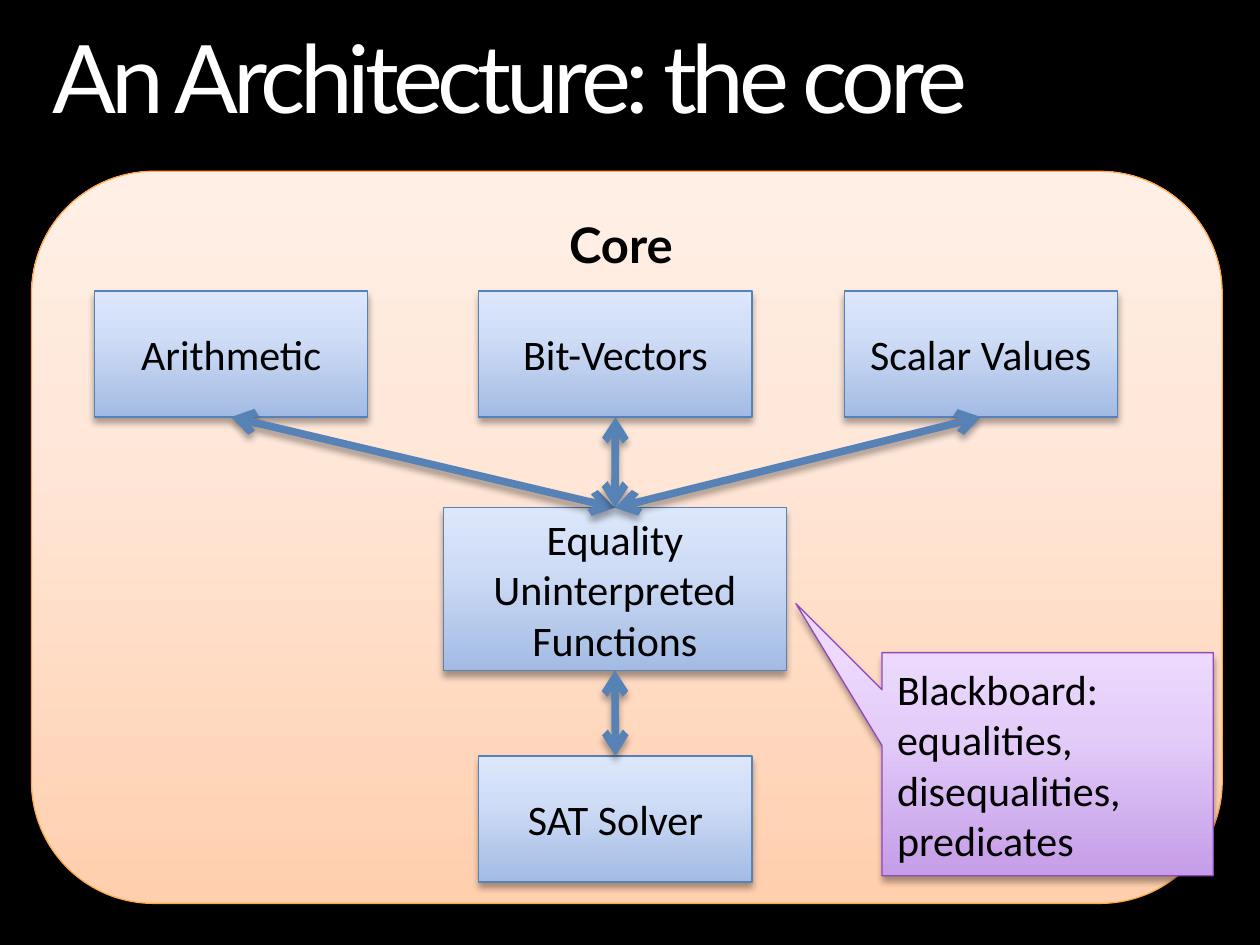
import pptx
import pptx.dml.color
import pptx.enum.shapes
import pptx.enum.text
import pptx.oxml
import pptx.oxml.ns
import pptx.util
from pptx.util import Inches

SHAPE = pptx.enum.shapes.MSO_SHAPE
ALIGN = pptx.enum.text.PP_ALIGN
ANCHOR = pptx.enum.text.MSO_ANCHOR
NS = pptx.oxml.ns.nsdecls("a")
TOP, BOTTOM = 0, 2
BLUE = ("A3BBE4", "D0DDF6", "DCE7FB")
ORANGE = ("FFCFAE", "FFE8DA", "FFEFE5")
PURPLE = ("C59DE8", "E4CDF9", "ECD9FD")
BLUE_LINE = "5782B5"


def rgb(value):
    """Return the colour for a hex string."""
    return pptx.dml.color.RGBColor.from_string(value)


def add_text(sp, text, font="Calibri", size=24, color="000000", bold=False,
             align=ALIGN.CENTER, anchor=ANCHOR.MIDDLE, inset=(0.12, 0.06),
             line_spacing=None, tracking=None):
    """Fill a shape with text, one paragraph per line."""
    tf = sp.text_frame
    tf.word_wrap = True
    tf.vertical_anchor = anchor
    tf.margin_left = tf.margin_right = Inches(inset[0])
    tf.margin_top = tf.margin_bottom = Inches(inset[1])
    for i, line in enumerate(text.split("\n")):
        p = tf.add_paragraph() if i else tf.paragraphs[0]
        p.alignment = align
        p.line_spacing = line_spacing
        r = p.add_run()
        r.text = line
        r.font.name = font
        r.font.size = pptx.util.Pt(size)
        r.font.bold = bold
        r.font.color.rgb = rgb(color)
        if tracking:
            r.font._element.set("spc", str(tracking * 100))


def set_gradient(sp, colors):
    """Give a shape a three-stop gradient running from bottom to top."""
    sp.fill.gradient()
    sp.fill.gradient_angle = 90
    stops = sp._element.spPr.find(".//" + pptx.oxml.ns.qn("a:gsLst"))
    stops.clear()
    for pos, color in zip((0, 65, 100), colors):
        stops.append(pptx.oxml.parse_xml(
            f'<a:gs {NS} pos="{pos * 1000}"><a:srgbClr val="{color}"/></a:gs>'))


def add_shadow(sp):
    """Append a soft shadow that falls straight down."""
    sp._element.spPr.append(pptx.oxml.parse_xml(
        f'<a:effectLst {NS}><a:outerShdw blurRad="50800" dist="38100" '
        'dir="5400000" rotWithShape="0"><a:srgbClr val="000000">'
        '<a:alpha val="35000"/></a:srgbClr></a:outerShdw></a:effectLst>'))


def add_panel(s, kind, box, colors, line, text, **fmt):
    """Add a shaded preset shape with text."""
    sp = s.shapes.add_shape(kind, *map(Inches, box))
    set_gradient(sp, colors)
    sp.line.color.rgb = rgb(line)
    sp.line.width = pptx.util.Pt(0.75)
    add_shadow(sp)
    add_text(sp, text, **fmt)
    return sp


def add_module(s, left, top, text, width=2.17, height=1):
    """Add a blue solver module."""
    return add_panel(s, SHAPE.RECTANGLE, (left, top, width, height),
                     BLUE, BLUE_LINE, text)


def link(s, upper, lower):
    """Join the bottom of one module to the top of another."""
    c = s.shapes.add_connector(pptx.enum.shapes.MSO_CONNECTOR.STRAIGHT, 0, 0, 0, 0)
    c.begin_connect(upper, BOTTOM)
    c.end_connect(lower, TOP)
    c.line.color.rgb = rgb(BLUE_LINE)
    c.line.width = pptx.util.Pt(4.33)
    for end in ("headEnd", "tailEnd"):
        c.line._get_or_add_ln().append(
            pptx.oxml.parse_xml(f'<a:{end} {NS} type="arrow"/>'))
    add_shadow(c)


def main():
    """Build the slide and save it."""
    prs = pptx.Presentation()
    prs.slide_width, prs.slide_height = Inches(10), Inches(7.5)
    s = prs.slides.add_slide(prs.slide_layouts[6])
    s.background.fill.solid()
    s.background.fill.fore_color.rgb = rgb("000000")

    add_panel(s, SHAPE.ROUNDED_RECTANGLE, (0.25, 1.36, 9.45, 5.81), ORANGE,
              "FFA94B", "Core ", font="Lato", size=28, bold=True, anchor=ANCHOR.TOP)
    title = s.shapes.add_textbox(*map(Inches, (0.42, 0.25, 9.17, 0.73)))
    add_text(title, "An Architecture: the core", font="Lato", size=54,
             color="FFFFFF", align=ALIGN.LEFT, anchor=ANCHOR.TOP, inset=(0, 0),
             line_spacing=0.9, tracking=-3)

    sat = add_module(s, 3.8, 6, "SAT Solver")
    equality = add_module(s, 3.52, 4.03, "Equality\nUninterpreted Functions",
                          width=2.72, height=1.29)
    theories = [add_module(s, left, 2.31, name) for left, name in
                ((0.75, "Arithmetic"), (3.8, "Bit-Vectors"), (6.7, "Scalar Values"))]
    for theory in theories:
        link(s, theory, equality)
    link(s, equality, sat)

    callout = add_panel(s, SHAPE.RECTANGULAR_CALLOUT, (7, 5.18, 2.63, 1.77),
                        PURPLE, "9047B9",
                        "Blackboard:\nequalities, disequalities,\npredicates",
                        align=ALIGN.LEFT)
    callout.adjustments[0] = -0.76
    callout.adjustments[1] = -0.72
    prs.save("out.pptx")


if __name__ == "__main__":
    main()
